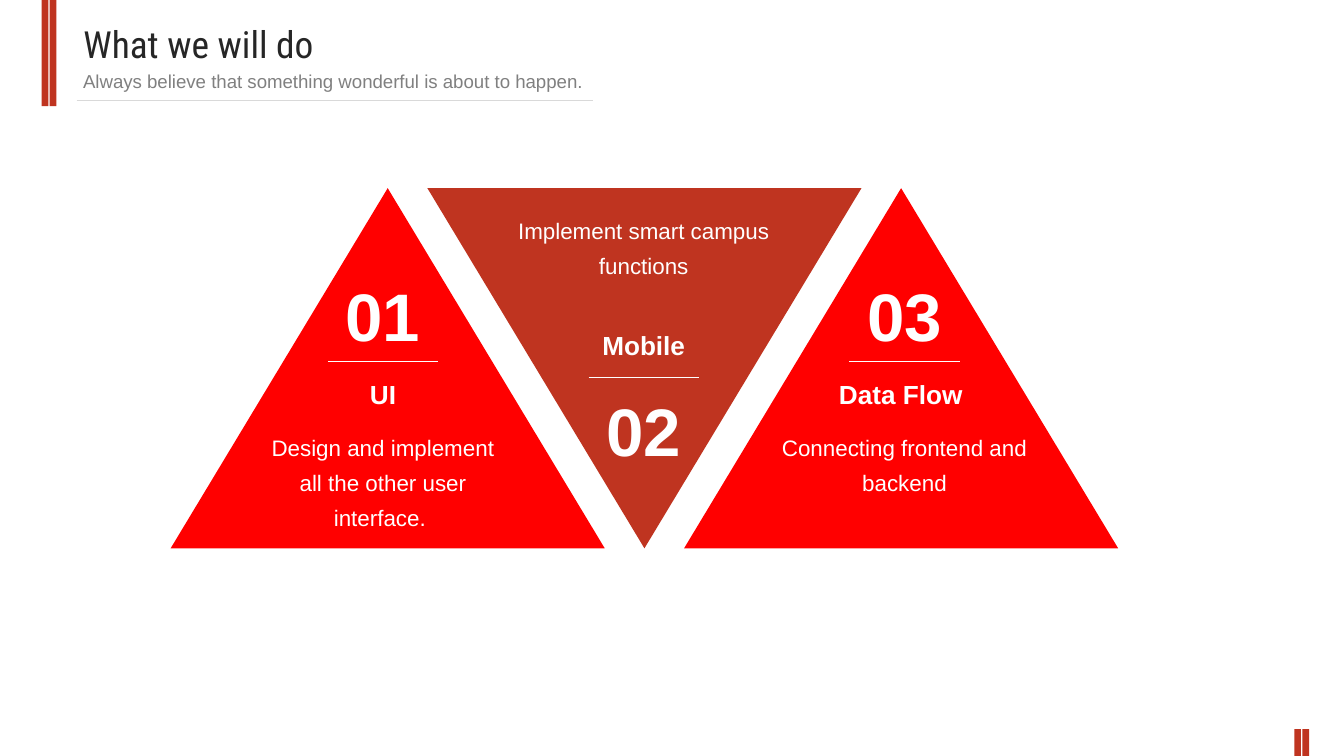
from lxml.etree import SubElement
from pptx import Presentation
from pptx.dml.color import RGBColor
from pptx.enum.shapes import MSO_CONNECTOR, MSO_SHAPE
from pptx.enum.text import MSO_ANCHOR, MSO_AUTO_SIZE, PP_ALIGN
from pptx.oxml.ns import qn
from pptx.util import Inches, Pt

WIDE, HIGH = 10, 5.625
RUST, RED, WHITE = "BF3420", "FF0000", "FFFFFF"
INK, GRAY, PALE = "262626", "808080", "D9D9D9"

# Triangle row and the text columns centred on it
TRI_LEFT, TRI_STEP, TRI_TOP, TRI_WIDE, TRI_HIGH = 1.27, 1.91, 1.4, 3.23, 2.68
MID, MID_STEP = 2.85, 1.94

# Tops of number, rule, label and body for each way a triangle points
UP = (1.99, 2.69, 2.77, 3.12)
DOWN = (2.85, 2.81, 2.4, 1.51)

# Number, label, body, body width, body height, fill, tops
STEPS = [
    ("01", "UI", "Design and implement all the other user interface. ",
     1.94, 0.89, RED, UP),
    ("02", "Mobile", "Implement smart campus functions",
     2.28, 0.63, RUST, DOWN),
    ("03", "Data Flow ", "Connecting frontend and backend",
     2.28, 0.63, RED, UP),
]


def color(code):
    return RGBColor.from_string(code)


def box(*sizes):
    return [Inches(size) for size in sizes]


def add_block(slide, kind, place, fill):
    block = slide.shapes.add_shape(kind, *box(*place))
    block.shadow.inherit = False
    block.fill.solid()
    block.fill.fore_color.rgb = color(fill)
    block.line.fill.background()
    return block


def add_rule(slide, left, right, top, tint):
    rule = slide.shapes.add_connector(
        MSO_CONNECTOR.STRAIGHT, *box(left, top, right, top))
    rule.line.color.rgb = color(tint)
    rule.line.width = Pt(0.75)
    SubElement(rule._element.spPr, qn("a:effectLst"))


def write(shape, text, size, tint, face="Arial", bold=False,
          align=PP_ALIGN.LEFT, space=1.0):
    frame = shape.text_frame
    frame.word_wrap = True
    frame.auto_size = MSO_AUTO_SIZE.NONE
    frame.vertical_anchor = MSO_ANCHOR.TOP
    para = frame.paragraphs[0]
    para.alignment = align
    para.line_spacing = space
    run = para.add_run()
    run.text = text
    font = run.font
    font.name, font.size, font.bold = face, Pt(size), bold
    font.color.rgb = color(tint)


def add_text(slide, place, text, size, tint, **style):
    write(slide.shapes.add_textbox(*box(*place)), text, size, tint, **style)


def add_head(slide):
    # Paired bars at the top left and bottom right
    for left, top, high in ((0.31, 0, 0.79), (9.63, HIGH - 0.2, 0.2)):
        for shift in (0, 0.06):
            add_block(slide, MSO_SHAPE.RECTANGLE,
                      (left + shift, top, 0.05, high), RUST)
    add_rule(slide, 0.57, 4.41, 0.75, PALE)

    # Title and subtitle
    title = slide.shapes.title
    title.left, title.top, title.width, title.height = box(
        0.52, 0.11, 4.23, 0.44)
    write(title, "What we will do", 20, INK, face="Roboto Condensed")
    add_text(slide, (0.52, 0.47, 4.23, 0.27),
             "Always believe that something wonderful is about to happen.",
             10, GRAY)


def add_step(slide, col, step):
    number, label, body, wide, high, fill, tops = step
    num_top, rule_top, label_top, body_top = tops
    mid = MID + col * MID_STEP

    # Triangle
    tri = add_block(slide, MSO_SHAPE.ISOSCELES_TRIANGLE,
                    (TRI_LEFT + col * TRI_STEP, TRI_TOP, TRI_WIDE, TRI_HIGH),
                    fill)
    tri.rotation = 180 if tops is DOWN else 0

    # Texts and rule, centred on the column
    def centre(text, top, wide, high, size, **style):
        add_text(slide, (mid - wide / 2, top, wide, high), text, size, WHITE,
                 align=PP_ALIGN.CENTER, **style)

    centre(label, label_top, 1.77, 0.34, 14, bold=True)
    centre(body, body_top, wide, high, 12, space=1.3)
    centre(number, num_top, 1.07, 0.71, 36, bold=True)
    add_rule(slide, mid - 0.41, mid + 0.41, rule_top, WHITE)


def main():
    deck = Presentation()
    deck.slide_width, deck.slide_height = box(WIDE, HIGH)
    slide = deck.slides.add_slide(deck.slide_layouts[5])
    add_head(slide)
    for col, step in enumerate(STEPS):
        add_step(slide, col, step)
    deck.save("out.pptx")


if __name__ == "__main__":
    main()
